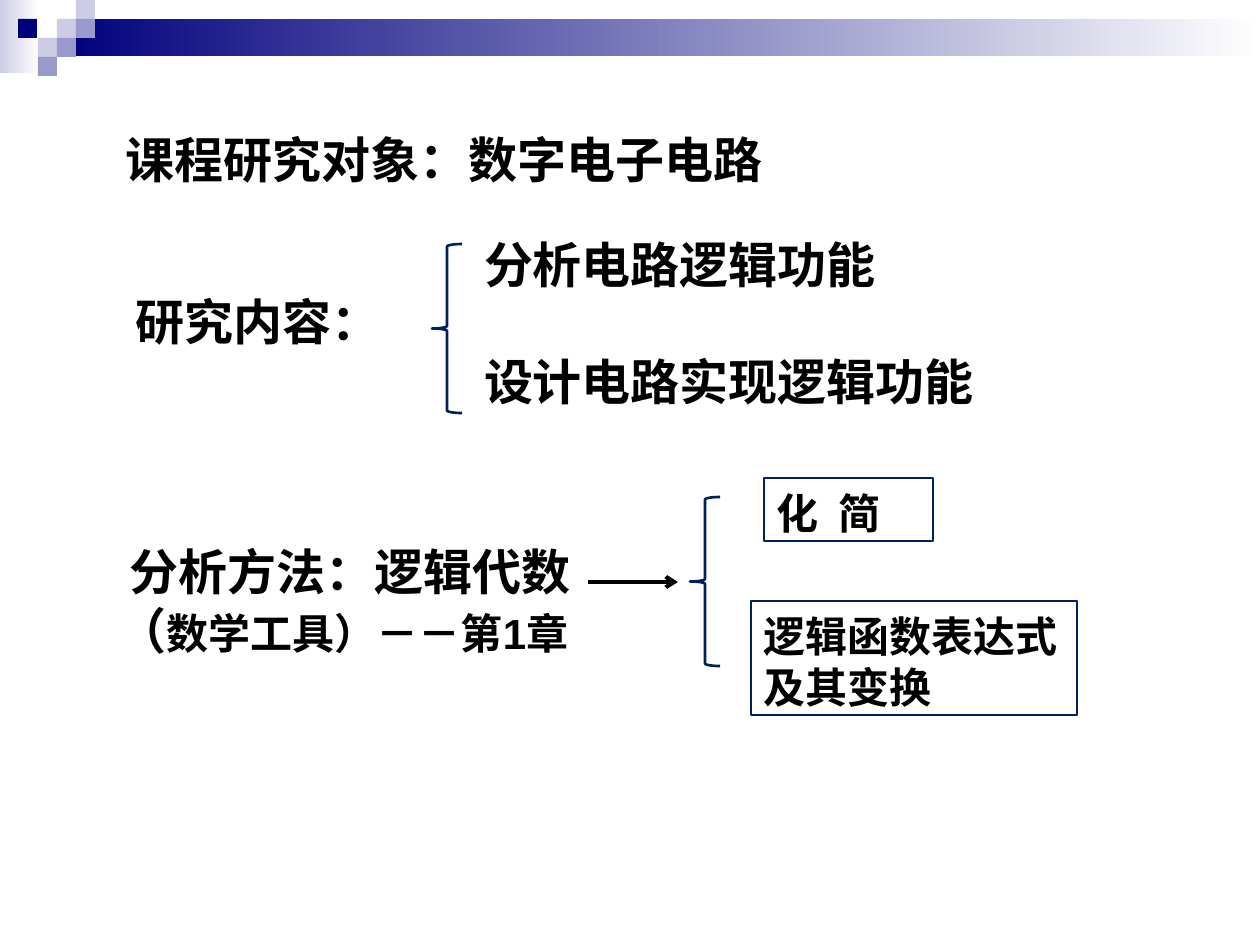
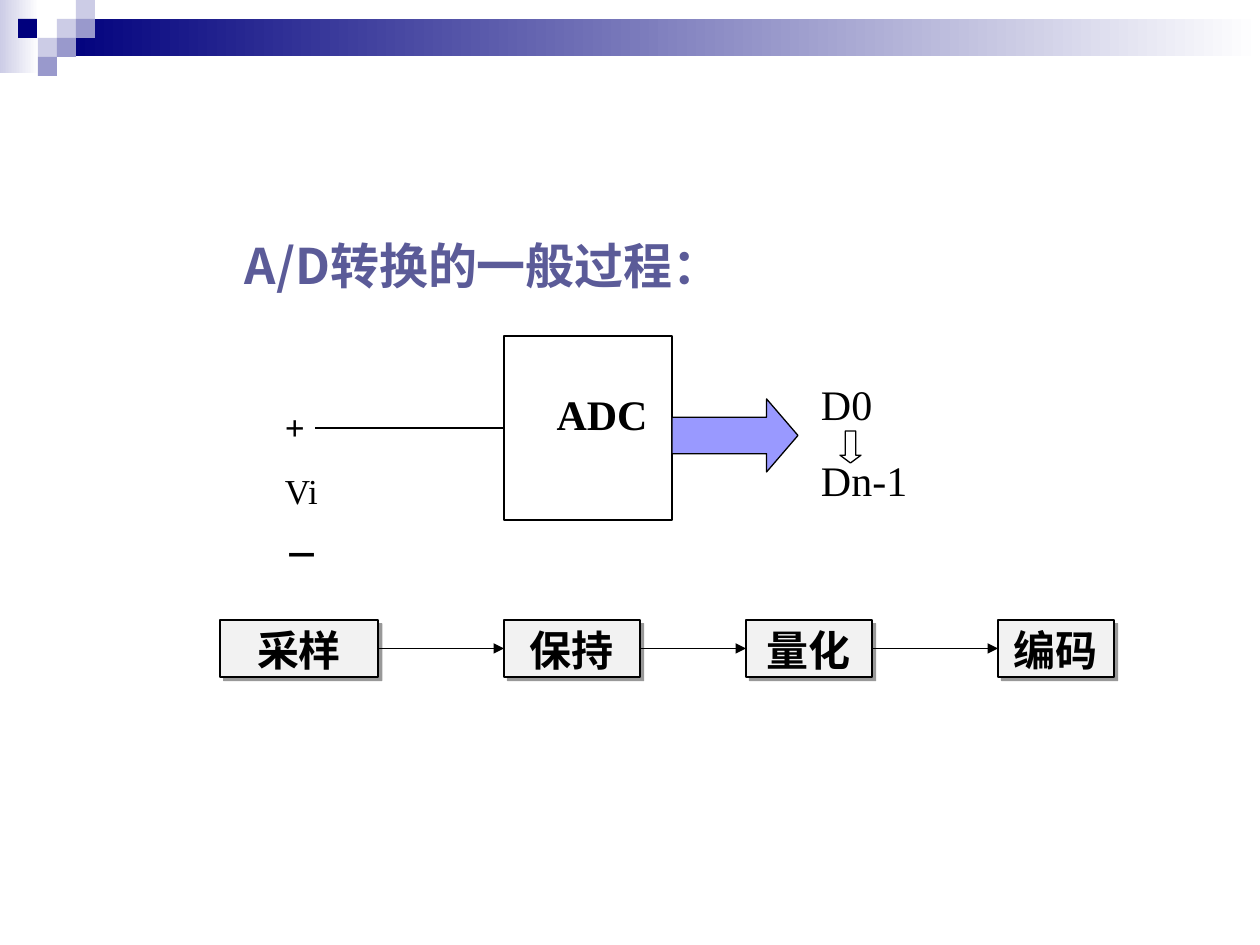
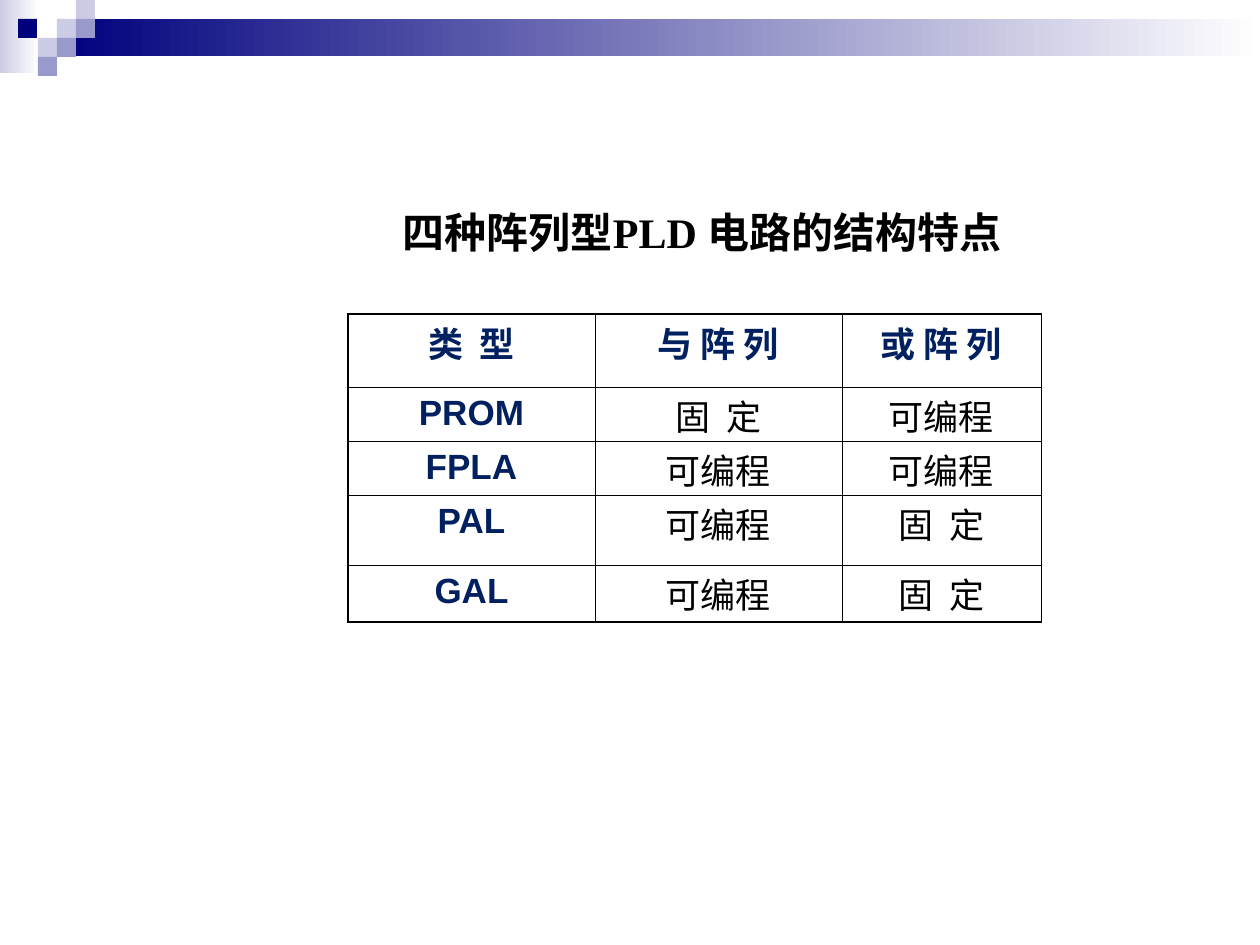
from itertools import pairwise

from lxml import etree
from pptx import Presentation
from pptx import util as u
from pptx.dml.color import RGBColor
from pptx.enum import shapes, text
from pptx.oxml.ns import qn

SCALE = u.Inches(1) / 126
NAVY, LILAC, MAUVE, WHITE = "00007D", "CCCCE6", "9999CC", "FFFFFF"
INK, BLUE, VIOLET, PALE = "000000", "002060", "5B5B98", "F2F2F2"
SANS, SERIF, CJK = "Arial", "Times New Roman", "Noto Sans CJK SC"
LEADING = 1.2
INSETS = (13, 10, 13, 6)
TIGHT = (13, 4, 13, 6)
FLUSH = (13, 0, 13, 6)
Preset, Align = shapes.MSO_SHAPE, text.PP_ALIGN


def px(length):
    return u.Emu(round(length * SCALE))


def color(value):
    return RGBColor.from_string(value)


def add_xml(parent, tag, **attributes):
    return etree.SubElement(parent, qn(tag), {key: str(value) for key, value in attributes.items()})


class Deck:
    """Holds the deck style and the slide being drawn."""

    def __init__(self):
        self.presentation = Presentation()
        self.presentation.slide_width = px(1260)
        self.presentation.slide_height = px(945)
        self.slide = None

    def new_slide(self):
        self.slide = self.presentation.slides.add_slide(self.presentation.slide_layouts[6])
        self.gradient((0, 0, 39, 73), LILAC)
        self.gradient((57, 19, 1203, 37), NAVY)
        squares = [(57, 19, LILAC), (76, 0, LILAC), (76, 19, MAUVE), (38, 38, LILAC),
                   (18, 19, NAVY), (57, 38, MAUVE), (38, 57, MAUVE)]
        for left, top, fill in squares:
            self.shape((left, top, 19, 19), fill)

    def shape(self, box, fill=None, line=None, width=0.75, preset=Preset.RECTANGLE, adjustments=()):
        shape = self.slide.shapes.add_shape(preset, *map(px, box))
        shape.shadow.inherit = False
        for index, value in enumerate(adjustments):
            shape.adjustments[index] = value
        if fill:
            shape.fill.solid()
            shape.fill.fore_color.rgb = color(fill)
        else:
            shape.fill.background()
        if line:
            shape.line.color.rgb = color(line)
            shape.line.width = u.Pt(width)
        else:
            shape.line.fill.background()
        return shape

    def gradient(self, box, start):
        shape = self.shape(box)
        shape.fill.gradient()
        shape.fill.gradient_angle = 0
        for stop, value in zip(shape.fill.gradient_stops, (start, WHITE)):
            stop.color.rgb = color(value)
            stop.position = 0 if value == start else 1

    def shadow(self, shape):
        effects = shape._element.spPr.find(qn("a:effectLst"))
        outer = add_xml(effects, "a:outerShdw", blurRad=0, dist=u.Pt(3), dir=2700000,
                        algn="tl", rotWithShape=0)
        add_xml(add_xml(outer, "a:srgbClr", val=INK), "a:alpha", val=40000)

    def paragraph(self, paragraph, content, size, font=SANS, fill=INK, bold=True,
                  align=Align.LEFT, before=0, indent=0, spacing=0):
        runs = [(content, size)] if isinstance(content, str) else content
        paragraph.alignment = align
        paragraph.line_spacing = u.Pt(size * LEADING)
        paragraph.space_before = u.Pt(before)
        if indent:
            paragraph._p.get_or_add_pPr().set("indent", str(px(indent)))
        for words, run_size in runs:
            run = paragraph.add_run()
            run.text = words
            run.font.size = u.Pt(run_size)
            run.font.name = font
            run.font.bold = bold
            run.font.color.rgb = color(fill)
            properties = run._r.get_or_add_rPr()
            add_xml(properties, "a:ea", typeface=CJK)
            if spacing:
                properties.set("spc", str(round(spacing * 100)))

    def fill_text(self, shape, paragraphs, size, insets=INSETS, anchor=text.MSO_ANCHOR.TOP,
                  **style):
        frame = shape.text_frame
        frame.word_wrap = True
        frame.vertical_anchor = anchor
        (frame.margin_left, frame.margin_top,
         frame.margin_right, frame.margin_bottom) = map(px, insets)
        for index, item in enumerate(paragraphs):
            content, extra = item if isinstance(item, tuple) else (item, {})
            paragraph = frame.add_paragraph() if index else frame.paragraphs[0]
            self.paragraph(paragraph, content, size, **{**style, **extra})

    def text(self, box, paragraphs, size, **style):
        self.fill_text(self.slide.shapes.add_textbox(*map(px, box)), paragraphs, size, **style)

    def connector(self, start, end, width=0.75, head=None, source=None, target=None):
        connector = self.slide.shapes.add_connector(
            shapes.MSO_CONNECTOR.STRAIGHT, *map(px, start + end))
        if source:
            connector.begin_connect(source, 3)
        if target:
            connector.end_connect(target, 1)
        connector.line.color.rgb = color(INK)
        connector.line.width = u.Pt(width)
        if head:
            add_xml(connector.line._get_or_add_ln(), "a:tailEnd", type=head)
        add_xml(connector._element.spPr, "a:effectLst")

    def borders(self, cell, widths):
        properties = cell._tc.get_or_add_tcPr()
        for side, width in zip("LRTB", widths):
            line = add_xml(properties, f"a:ln{side}", w=u.Pt(width))
            add_xml(add_xml(line, "a:solidFill"), "a:srgbClr", val=INK)

    def table(self, origin, columns, heights, rows, size):
        frame = self.slide.shapes.add_table(
            len(rows), len(columns), *map(px, (*origin, sum(columns), sum(heights))))
        table = frame.table
        table.first_row = table.horz_banding = False
        for column, width in zip(table.columns, columns):
            column.width = px(width)
        thin, thick = 0.45, 1.08
        for row_index, row in enumerate(rows):
            table.rows[row_index].height = px(heights[row_index])
            for column_index, words in enumerate(row):
                cell = table.cell(row_index, column_index)
                header, name = row_index == 0, column_index == 0
                self.borders(cell, (thick if name else thin, thin, thick if header else thin,
                                    thick if row_index == len(rows) - 1 else thin))
                cell.fill.background()
                latin = name and not header
                cell.margin_top, cell.margin_bottom = px(4 if latin else 12), 0
                self.paragraph(
                    cell.text_frame.paragraphs[0], words, size,
                    font=CJK if header else SANS if name else SERIF,
                    fill=BLUE if header or name else INK, bold=header or name,
                    align=Align.CENTER, spacing=2.5 if words in ("类 型", "固 定") else 0)


def course_slide(deck):
    deck.new_slide()
    deck.text((113, 106, 745, 97), ["课程研究对象：数字电子电路"], 28,
              insets=(13, 14, 13, 6), anchor=text.MSO_ANCHOR.MIDDLE)
    for left, top in ((432, 244), (690, 497)):
        deck.shape((left, top, 30, 169), line=BLUE, width=1.5, preset=Preset.LEFT_BRACE)
    deck.text((471, 224, 525, 198),
              ["分析电路逻辑功能", ("设计电路实现逻辑功能", {"before": 28 * LEADING})], 28)
    deck.text((105, 532, 517, 139),
              [("分析方法：逻辑代数", {"indent": 12}),
               [("（", 28), ("数学工具）－－第1章", 24)]], 28)
    deck.connector((588, 582), (678, 582), width=2.25, head="arrow")
    deck.fill_text(deck.shape((764, 478, 169, 63), line=BLUE), ["化 简"], 24, spacing=3)
    deck.fill_text(deck.shape((751, 601, 326, 114), line=BLUE), ["逻辑函数表达式及其变换"], 24)
    deck.text((123, 281, 278, 92), ["研究内容："], 28)


def conversion_slide(deck):
    deck.new_slide()
    deck.text((232, 232, 591, 66), ["A/D转换的一般过程："], 28, font=CJK, fill=VIOLET,
              insets=TIGHT)
    converter = deck.shape((504, 336, 168, 184), line=INK)
    deck.fill_text(converter, ["ADC"], 24, font=SERIF, align=Align.CENTER,
                   insets=(41, 53, 13, 6))
    deck.connector((315, 428), (504, 428), target=converter)
    deck.shape((672, 399, 126, 73), "9999FF", INK, preset=Preset.RIGHT_ARROW,
               adjustments=(0.5, 0.43))
    deck.text((272, 406, 105, 176),
              ["+", ("Vi", {"bold": False, "before": 12.5}), ("－", {"before": 12.5})],
              20, font=SERIF, insets=FLUSH)
    deck.text((808, 378, 126, 134), ["D0", ("Dn-1", {"before": 15})], 24, font=SERIF,
              bold=False, insets=FLUSH)
    steps = []
    for words, left, width in (("采样", 220, 158), ("保持", 504, 136),
                               ("量化", 746, 126), ("编码", 998, 116)):
        step = deck.shape((left, 620, width, 57), PALE, INK)
        deck.shadow(step)
        deck.fill_text(step, [words], 24, font=SERIF, align=Align.CENTER, insets=TIGHT)
        steps.append(step)
    for source, target in pairwise(steps):
        deck.connector((0, 0), (0, 0), head="triangle", source=source, target=target)
    deck.shape((840, 431, 21, 32), WHITE, INK, preset=Preset.DOWN_ARROW,
               adjustments=(0.5, 0.37))


def array_slide(deck):
    deck.new_slide()
    deck.text((390, 197, 680, 63), ["四种阵列型PLD 电路的结构特点"], 24, font=SERIF)
    rows = [("类 型", "与 阵 列", "或 阵 列"),
            ("PROM", "固 定", "可编程"),
            ("FPLA", "可编程", "可编程"),
            ("PAL", "可编程", "固 定"),
            ("GAL", "可编程", "固 定")]
    deck.table((348, 314), (247, 247, 199), (73, 54, 54, 70, 57), rows, 20)


def main():
    deck = Deck()
    course_slide(deck)
    conversion_slide(deck)
    array_slide(deck)
    deck.presentation.save("out.pptx")


if __name__ == "__main__":
    main()
